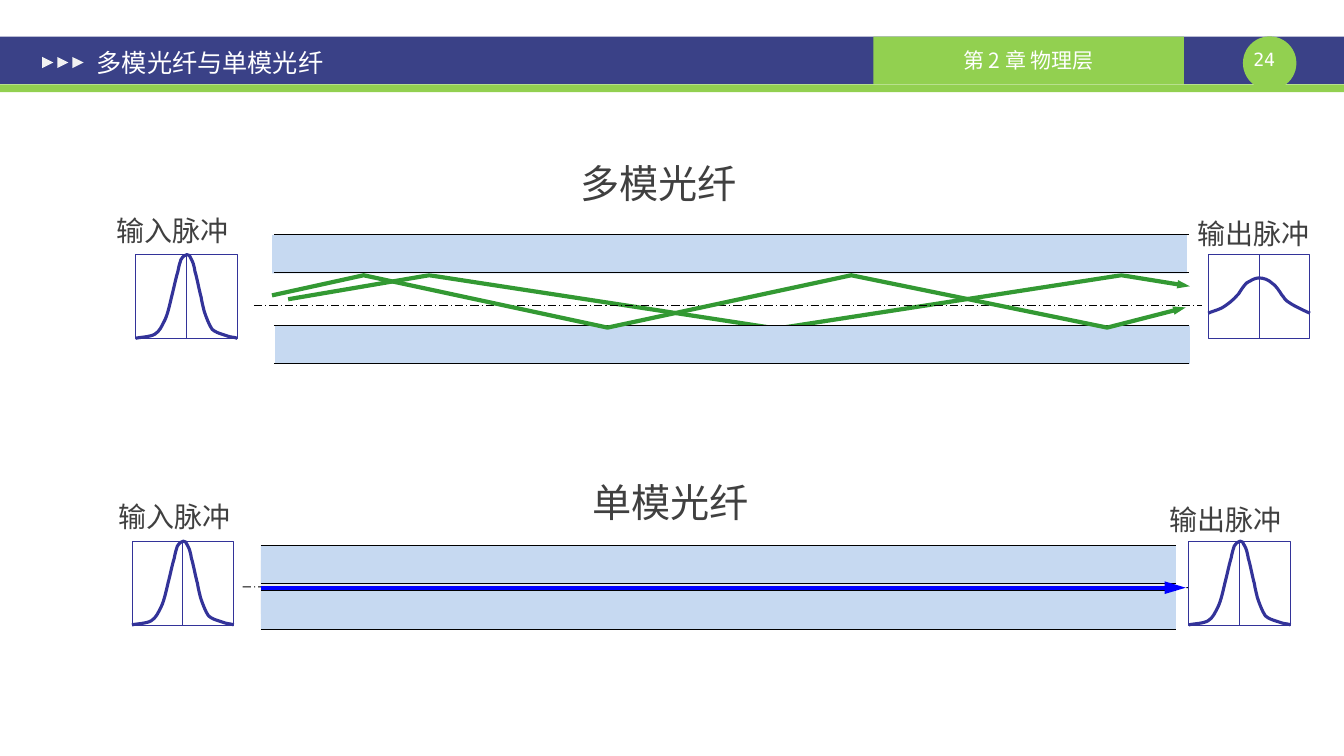
"""Build the slide on multimode and single-mode optical fibre."""
from dataclasses import dataclass

from lxml import etree
from pptx import Presentation
from pptx.dml.color import RGBColor
from pptx.enum.dml import MSO_LINE
from pptx.enum.shapes import MSO_CONNECTOR, MSO_SHAPE
from pptx.enum.text import MSO_ANCHOR, PP_ALIGN
from pptx.oxml.ns import qn
from pptx.util import Pt

RECT, OVAL = MSO_SHAPE.RECTANGLE, MSO_SHAPE.OVAL
WEDGE = MSO_SHAPE.ISOSCELES_TRIANGLE
STRAIGHT = MSO_CONNECTOR.STRAIGHT
DASH = MSO_LINE.LONG_DASH_DOT
LEFT, CENTER, MIDDLE = PP_ALIGN.LEFT, PP_ALIGN.CENTER, MSO_ANCHOR.MIDDLE

WIDTH, HEIGHT = 960.48, 540
NAVY, LIME, WHITE, PALE = "3A4187", "92D050", "FFFFFF", "F2F2F2"
GLASS, CORE, BLACK, GRAY = "C6D9F1", "EAEAEA", "000000", "404040"
INDIGO, GREEN, BLUE = "333399", "339933", "0000FF"
SPAN, THICK, REACH = 653.8, 27.4, 677.6
FRAME_W, FRAME_H = 72.7, 59.8

Point = tuple[float, float]

SHARP: list[Point] = [
    (0, 59.8), (2.2, 59), (10.1, 59), (13.7, 56.9),
    (17.3, 54.7), (18.7, 51.1), (20.9, 46.8),
    (23, 42.5), (24.5, 35.3), (25.9, 29.5),
    (27.4, 23.8), (28.8, 16.6), (30.2, 12.2),
    (31, 7.9), (31.7, 5.8), (32.4, 3.6),
    (33.8, 1.4), (35.3, 0), (36.7, 0),
    (38.2, 0), (38.9, 0.7), (39.6, 2.9),
    (41, 5), (41.8, 7.9), (42.5, 12.2),
    (43.9, 16.6), (45.4, 25.2), (46.8, 30.2),
    (47.5, 34.6), (48.2, 36.7), (49, 40.3),
    (50.4, 44.6), (52.6, 50.4), (54.7, 53.3),
    (56.9, 55.4), (59.8, 56.2), (61.9, 56.9),
    (64.1, 58.3), (64.1, 57.6), (66.2, 58.3),
    (67.7, 59), (71.3, 59), (72.7, 59.8)]
BROAD: list[Point] = [
    (0, 41.8), (1.4, 41), (6.5, 39.6), (9.4, 38.2),
    (12.2, 36.7), (13.7, 35.3), (15.8, 33.8),
    (18, 32.4), (19.4, 30.2), (21.6, 28.1),
    (23, 25.9), (25.2, 22.3), (27.4, 20.2),
    (30.2, 18.7), (33.1, 16.6), (36, 16.6),
    (39.6, 16.6), (43.2, 18), (45.4, 20.2),
    (48.2, 21.6), (51.1, 26.6), (52.6, 28.8),
    (54.7, 31), (54.7, 32.4), (56.2, 33.1),
    (58.3, 34.6), (60.5, 36), (63.4, 37.4),
    (66.2, 38.9), (70.6, 41), (72.7, 41.8)]
BACK_RAY: list[Point] = [(205.9, 213.8), (306.7, 196.6), (555.1, 234.7),
                         (801.4, 196.6), (850.3, 204.5)]
FRONT_RAY: list[Point] = [(194.4, 211), (259.9, 196.6), (434.2, 234),
                          (608.4, 196.6), (791.3, 234), (847.4, 219.6)]


@dataclass
class Pulse:
    text: str
    left: float
    top: float
    text_x: float
    text_y: float
    curve: list[Point]
    edge: float


@dataclass
class Fiber:
    slabs: list[Point]
    left: float
    rows: list[float]
    axis: Point
    drop: float
    pulses: list[Pulse]


SINGLE = Fiber([(186.5, 389.5), (186.5, 421.9)], 186.5,
               [389.5, 416.9, 422.1, 449.5], (173.5, 419.2), 0.5,
               [Pulse("输入脉冲", 94.3, 386.6, 77.2, 353, SHARP, 0.5),
                Pulse("输出脉冲", 849.6, 386.6, 828.3, 355.2, SHARP, 0.5)])
MULTI = Fiber([(194.4, 167.8), (196.6, 232.6)], 195.8,
              [167.3, 194.6, 232.6, 259.9], (181.4, 218.2), 0,
              [Pulse("输入脉冲", 96.9, 181.9, 75.8, 149, SHARP, 0.75),
               Pulse("输出脉冲", 863.5, 181.9, 848.4, 150.7, BROAD, 0.75)])

deck = Presentation()
deck.slide_width, deck.slide_height = Pt(WIDTH), Pt(HEIGHT)
slide = deck.slides.add_slide(deck.slide_layouts[6])
shapes = slide.shapes


def paint(form, color: str) -> None:
    form.solid()
    form.fore_color.rgb = RGBColor.from_string(color)


def stroke(item, color: str, size: float, head: tuple[str, str] | None = None) -> None:
    paint(item.line.fill, color)
    item.line.width = Pt(size)
    if head:
        wide, long = head
        etree.SubElement(item.line._get_or_add_ln(), qn("a:tailEnd"),
                         type="triangle", w=wide, len=long)


def block(kind, x: float, y: float, w: float, h: float, color: str,
          edge: float = 0, turn: float = 0):
    item = shapes.add_shape(kind, Pt(x), Pt(y), Pt(w), Pt(h))
    item.shadow.inherit = False
    item.rotation = turn
    paint(item.fill, color)
    if edge:
        stroke(item, INDIGO, edge)
    else:
        item.line.fill.background()
    return item


def rule(x: float, y: float, end_x: float, end_y: float, color: str = BLACK,
         size: float = 0.75, dash=None, head: tuple[str, str] | None = None) -> None:
    item = shapes.add_connector(STRAIGHT, Pt(x), Pt(y), Pt(end_x), Pt(end_y))
    stroke(item, color, size, head)
    if dash:
        item.line.dash_style = dash
    etree.SubElement(item._element.spPr, qn("a:effectLst"))


def trace(points: list[Point], color: str, size: float,
          head: tuple[str, str] | None = None):
    dots = [(x * 100, y * 100) for x, y in points]
    pen = shapes.build_freeform(*dots[0], scale=Pt(1) / 100)
    pen.add_line_segments(dots[1:], close=False)
    item = pen.convert_to_shape()
    item.shadow.inherit = False
    item.fill.background()
    stroke(item, color, size, head)
    return item


def bend(item) -> None:
    legs = list(item._element.iter(qn("a:lnTo")))
    for first, second, third in zip(legs[::3], legs[1::3], legs[2::3]):
        first.tag = qn("a:cubicBezTo")
        for leg in (second, third):
            first.append(leg[0])
            leg.getparent().remove(leg)


def write(text: str, x: float, y: float, w: float, h: float, *, size: float,
          color: str = GRAY, font: str = "Arial", align=CENTER, box=None) -> None:
    box = box or shapes.add_textbox(Pt(x), Pt(y), Pt(w), Pt(h))
    frame = box.text_frame
    frame.margin_left = frame.margin_right = 0
    frame.margin_top = frame.margin_bottom = 0
    frame.word_wrap = False
    frame.vertical_anchor = MIDDLE
    para = frame.paragraphs[0]
    para.alignment = align
    run = para.add_run()
    run.text = text
    run.font.size, run.font.name = Pt(size), font
    run.font.color.rgb = RGBColor.from_string(color)


def draw_pulse(pulse: Pulse) -> None:
    x, y, mid = pulse.left, pulse.top, pulse.left + FRAME_W / 2
    block(RECT, x, y, FRAME_W, FRAME_H, WHITE, pulse.edge)
    rule(mid, y, mid, y + FRAME_H, INDIGO, 0.5)
    bend(trace([(x + dx, y + dy) for dx, dy in pulse.curve], INDIGO, 2.25))
    write(pulse.text, pulse.text_x, pulse.text_y, 95, 31.7, size=20)


def draw_fiber(fiber: Fiber) -> None:
    for x, y in fiber.slabs:
        block(RECT, x, y, SPAN, THICK, GLASS)
    for y in fiber.rows:
        rule(fiber.left, y, fiber.left + SPAN, y)
    x, y = fiber.axis
    rule(x, y, x + REACH, y + fiber.drop, dash=DASH)
    for pulse in fiber.pulses:
        draw_pulse(pulse)


def draw_header() -> None:
    block(RECT, 0, 26.2, WIDTH, 33.8, NAVY)
    block(RECT, 0, 60.2, WIDTH, 5.7, LIME)
    block(OVAL, 888.3, 26, 38.2, 38.2, LIME)
    write("24", 884.4, 34.6, 38.2, 15.8, size=13, color=WHITE, font="DejaVu Sans Mono")
    tab = (624.2, 26.2, 221.8, 33.8)
    write("第 2 章 物理层", *tab, size=15, color=WHITE, font="Noto Sans CJK SC",
          box=block(RECT, *tab, LIME))
    for step in range(3):
        block(WEDGE, 30.2 + 10.8 * step, 40.7, 7.9, 7.9, PALE, turn=90)
    write("多模光纤与单模光纤", 69.1, 27.5, 404, 33.8, size=18, color=WHITE, align=LEFT)


def main() -> None:
    draw_header()
    block(RECT, 186.5, 400.3, SPAN, 38.2, CORE)
    draw_fiber(SINGLE)
    write("单模光纤", 415.6, 338.2, 127.4, 41, size=28)
    trace(BACK_RAY, GREEN, 3, ("sm", "med"))
    draw_fiber(MULTI)
    rule(186.5, 419.8, 847.4, 419.8, BLUE, 3, head=("med", "lg"))
    trace(FRONT_RAY, GREEN, 3, ("sm", "med"))
    write("多模光纤", 406.9, 110.2, 127.4, 41, size=28)
    deck.save("out.pptx")


if __name__ == "__main__":
    main()
